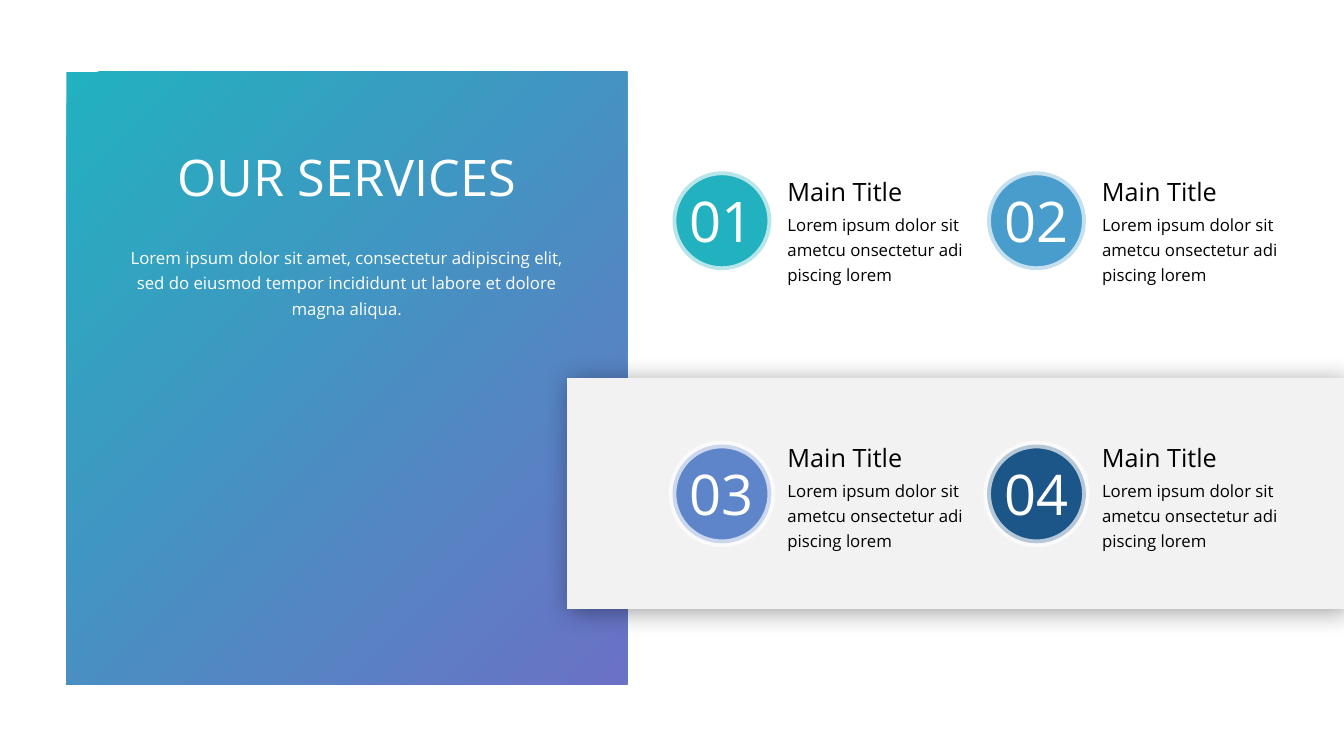
from dataclasses import dataclass

from pptx import Presentation
from pptx.dml.color import RGBColor
from pptx.enum.shapes import MSO_SHAPE as Preset
from pptx.enum.text import MSO_ANCHOR as Anchor, MSO_AUTO_SIZE as AutoSize, PP_ALIGN as Align
from pptx.oxml import parse_xml
from pptx.oxml.ns import nsdecls, qn
from pptx.util import Inches, Pt


@dataclass(frozen=True)
class Theme:
    """Colours, font and type sizes of the slide."""
    font: str = "Open Sans"
    white: str = "FFFFFF"
    black: str = "000000"
    band: str = "F2F2F2"
    gradient: tuple = ("22B1BF", "6B71C5")
    badges: tuple = ("22B1BF", "499DCC", "5E85CA", "1C5688")
    title: int = 36
    number: int = 40
    heading: int = 18
    body: int = 12


THEME = Theme()
COLUMNS = (6.67, 9.79)
ROWS = ((1.7, 1.75), (4.41, 4.39))
SERVICE = "Lorem ipsum dolor sit ametcu onsectetur adi piscing lorem"
INTRO = ("Lorem ipsum dolor sit amet, consectetur adipiscing elit, sed do eiusmod "
         "tempor incididunt ut labore et dolore magna aliqua.")


def apply(target, values):
    """Set each attribute named in values on the target."""
    for name, value in values.items():
        setattr(target, name, value)


def place(box, left, top, width, height):
    """Move and size a box, in inches."""
    apply(box, {"left": Inches(left), "top": Inches(top),
                "width": Inches(width), "height": Inches(height)})


def write(box, text, size, color, align=Align.LEFT, wrap=False, spacing=1.0):
    """Fill a box with one formatted paragraph."""
    frame = box.text_frame
    apply(frame, {"text": text, "word_wrap": wrap, "vertical_anchor": Anchor.TOP,
                  "auto_size": AutoSize.SHAPE_TO_FIT_TEXT, "margin_left": 0,
                  "margin_top": 0, "margin_right": 0, "margin_bottom": 0})
    para = frame.paragraphs[0]
    apply(para, {"alignment": align, "line_spacing": spacing, "space_before": Pt(0)})
    span = para.runs[0]
    apply(span.font, {"name": THEME.font, "size": Pt(size)})
    span.font.color.rgb = RGBColor.from_string(color)
    return para


def add_text(page, at, text, size, color, **layout):
    """Add a text box at the given place."""
    box = page.shapes.add_textbox(*map(Inches, at))
    write(box, text, size, color, **layout)


def add_plain(page, preset, at, color):
    """Add a solid shape without outline or shadow."""
    shape = page.shapes.add_shape(preset, *map(Inches, at))
    shape.shadow.inherit = False
    shape.fill.solid()
    shape.fill.fore_color.rgb = RGBColor.from_string(color)
    shape.line.fill.background()
    return shape


def add_panel(page):
    """Add the gradient panel behind the title."""
    panel = add_plain(page, Preset.RECTANGLE, (0.66, 0.71, 5.56, 6.08), THEME.gradient[0])
    panel.fill.gradient()
    panel.fill.gradient_angle = 315
    for stop, color, position in zip(panel.fill.gradient_stops, THEME.gradient, (0, 1)):
        stop.color.rgb = RGBColor.from_string(color)
        stop.position = position


def add_band(page):
    """Add the grey band with its soft shadow."""
    band = add_plain(page, Preset.FLOWCHART_PROCESS, (5.62, 3.75, 7.71, 2.29), THEME.band)
    band.element.spPr.find(qn("a:effectLst")).append(parse_xml(
        f'<a:outerShdw {nsdecls("a")} blurRad="{Pt(18)}" dist="{Pt(3)}" dir="2700000" '
        f'algn="tl" rotWithShape="0"><a:srgbClr val="{THEME.black}">'
        '<a:alpha val="40000"/></a:srgbClr></a:outerShdw>'))


def add_badge(page, left, top, number, color):
    """Add a numbered circle with a translucent white ring."""
    circle = add_plain(page, Preset.OVAL, (left, top, 0.98, 0.98), color)
    circle.line.width = Pt(5.5)
    circle.line.color.rgb = RGBColor.from_string(THEME.white)
    ring = circle.element.spPr.find(qn("a:ln")).find(".//" + qn("a:srgbClr"))
    ring.append(parse_xml(f'<a:alpha {nsdecls("a")} val="67000"/>'))
    add_text(page, (left + 0.17, top + 0.15, 0.64, 0.67), f"{number:02}",
             THEME.number, THEME.white)


def add_service(page, number, left, badge_top, text_top):
    """Add one service: badge, heading and description."""
    add_badge(page, left, badge_top, number, THEME.badges[number - 1])
    text_left = left + 1.14
    add_text(page, (text_left, text_top, 1.2, 0.3), "Main Title", THEME.heading, THEME.black)
    add_text(page, (text_left, text_top + 0.33, 1.81, 0.76), SERVICE,
             THEME.body, THEME.black, wrap=True, spacing=1.25)


def fill_placeholders(page):
    """Write the title and introduction on top of the panel."""
    title, intro = page.placeholders
    for box in (title, intro):
        page.shapes.element.append(box.element)
    place(title, 1.71, 1.45, 3.46, 0.61)
    write(title, "OUR SERVICES", THEME.title, THEME.white, align=Align.CENTER)
    place(intro, 1.25, 2.41, 4.38, 0.76)
    para = write(intro, INTRO, THEME.body, THEME.white,
                 align=Align.CENTER, wrap=True, spacing=1.25)
    layout = para._p.get_or_add_pPr()
    layout.set("marL", "0")
    layout.set("indent", "0")
    layout.append(parse_xml(f'<a:buNone {nsdecls("a")}/>'))


def main():
    """Build and save the services slide."""
    deck = Presentation()
    apply(deck, {"slide_width": Inches(13.33), "slide_height": Inches(7.5)})
    page = deck.slides.add_slide(deck.slide_layouts[1])
    add_panel(page)
    add_band(page)
    cells = [(left, *tops) for tops in ROWS for left in COLUMNS]
    for number, cell in enumerate(cells, start=1):
        add_service(page, number, *cell)
    fill_placeholders(page)
    deck.save("out.pptx")


if __name__ == "__main__":
    main()
